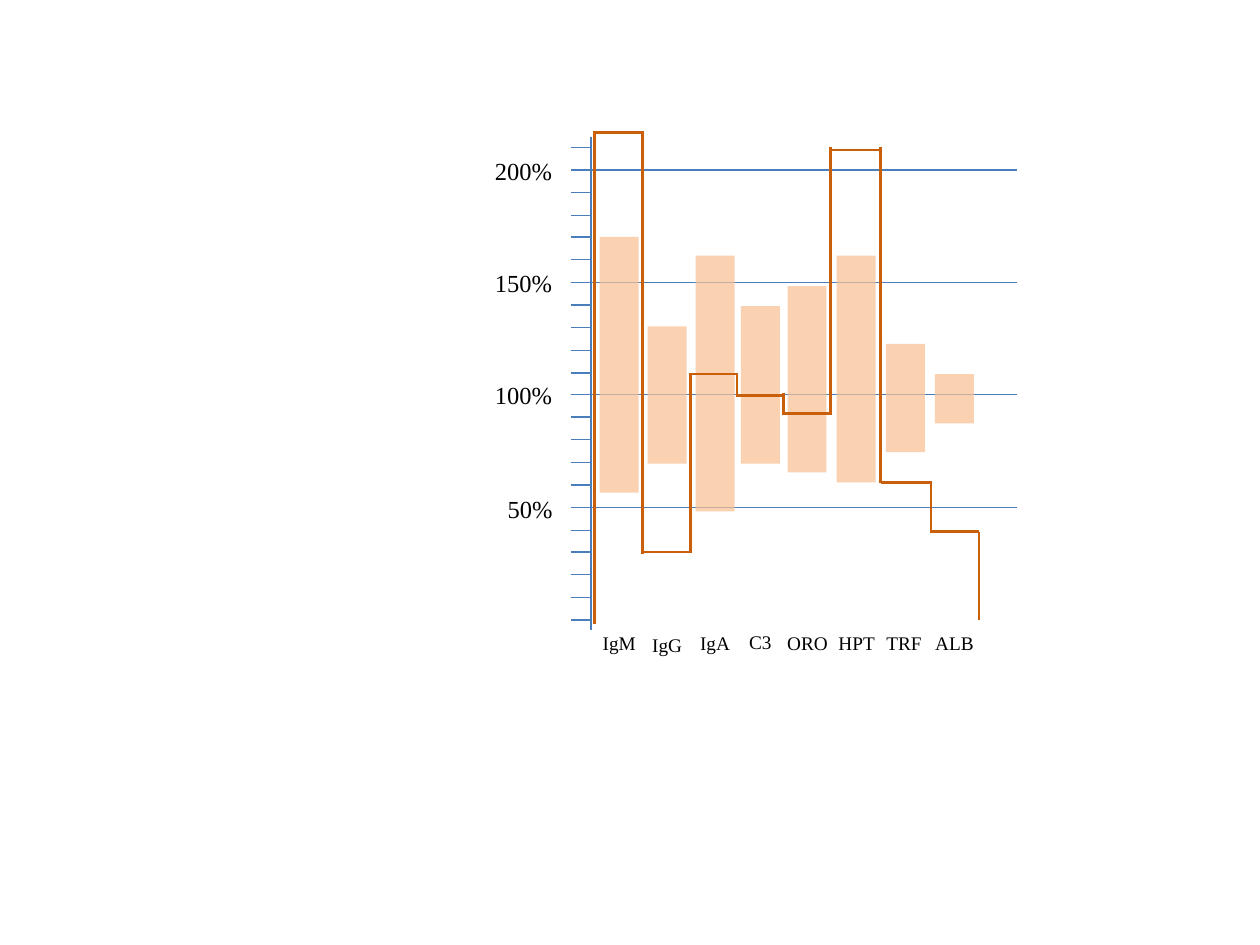
from collections import namedtuple

from pptx import Presentation
from pptx.dml.color import RGBColor
from pptx.enum.shapes import MSO_CONNECTOR as Connector, MSO_SHAPE as Shape
from pptx.enum.text import MSO_ANCHOR as Anchor, MSO_AUTO_SIZE as AutoSize, PP_ALIGN as Align
from pptx.oxml.ns import qn
from pptx.util import Emu, Pt
from lxml import etree

PX_PER_INCH = 100
EMU_PER_PX = 914400 // PX_PER_INCH
FONT = "Times New Roman"
BLACK, GRID_BLUE, RANGE_PEACH, LEVEL_ORANGE = "000000", "4A7EBB", "FAC090", "C96009"

AXIS_X, AXIS_TOP, AXIS_BOTTOM = 469, 109, 500
TICK_LEFT, GRID_RIGHT = 453, 807
ZERO_Y, HIGHEST_TICK_Y, TICK_STEPS = 492, 117, 21
TICKS_PER_GRID_LINE = 5
PERCENT_RIGHT, PERCENT_HEIGHT = 450, 34
RANGE_WIDTH, LEVEL_WIDTH, NAME_HEIGHT = 31, 39, 21

PERCENT_FORMAT = {
    "frame": {"word_wrap": False, "auto_size": AutoSize.SHAPE_TO_FIT_TEXT,
              "margin_left": Pt(7.2), "margin_right": Pt(7.2),
              "margin_top": Pt(3.6), "margin_bottom": Pt(3.6)},
    "paragraph": {"alignment": Align.LEFT},
    "font": {"name": FONT, "size": Pt(14)},
}
NAME_FORMAT = {
    "frame": {"word_wrap": False, "auto_size": AutoSize.SHAPE_TO_FIT_TEXT,
              "vertical_anchor": Anchor.MIDDLE,
              "margin_left": 0, "margin_right": 0,
              "margin_top": Pt(0.72), "margin_bottom": Pt(0.72)},
    "paragraph": {"alignment": Align.CENTER},
    "font": {"name": FONT, "size": Pt(11)},
}

Protein = namedtuple(
    "Protein", "name name_left name_top name_width range_left range_top range_height level_left level_y")
PROTEINS = [
    Protein("IgM", 478, 500, 27, 476, 188, 203, 472, 105),
    Protein("IgG", 517, 501, 25, 514, 259, 109, 510, 438),
    Protein("IgA", 555, 500, 25, 552, 203, 203, 547, 297),
    Protein("C3", 594, 499, 19, 588, 243, 125, 584, 314),
    Protein("ORO", 623, 500, 36, 625, 227, 148, 621, 328),
    Protein("HPT", 662, 500, 36, 664, 203, 180, 660, 119),
    Protein("TRF", 700, 500, 35, 703, 273, 86, 699, 383),
    Protein("ALB", 740, 500, 35, 742, 297, 39, 738, 422),
]
LEVEL_STEPS = [
    (472, 104, 495), (510, 105, 440), (548, 298, 438),
    (585, 296, 314), (622, 312, 329), (659, 328, 117),
    (699, 383, 117), (739, 421, 382), (777, 492, 422),
]


def px(length):
    return Emu(length * EMU_PER_PX)


def rgb(value):
    return RGBColor.from_string(value)


def apply(target, values):
    for name, value in values.items():
        setattr(target, name, value)


class SlideBuilder:
    def __init__(self, slide):
        self.slide = slide

    def line(self, x1, y1, x2, y2, color, weight):
        connector = self.slide.shapes.add_connector(
            Connector.STRAIGHT, px(x1), px(y1), px(x2), px(y2))
        connector.line.color.rgb = rgb(color)
        connector.line.width = Pt(weight)
        etree.SubElement(connector._element.spPr, qn("a:effectLst"))

    def grid_line(self, x1, y1, x2, y2):
        self.line(x1, y1, x2, y2, GRID_BLUE, 0.75)

    def level_line(self, x1, y1, x2, y2):
        self.line(x1, y1, x2, y2, LEVEL_ORANGE, 1.5)

    def range_bar(self, left, top, width, height, opacity=70):
        shape = self.slide.shapes.add_shape(
            Shape.RECTANGLE, px(left), px(top), px(width), px(height))
        shape.shadow.inherit = False
        shape.fill.solid()
        shape.fill.fore_color.rgb = rgb(RANGE_PEACH)
        shape.line.fill.background()
        color = shape._element.spPr.find(qn("a:solidFill"))[0]
        etree.SubElement(color, qn("a:alpha"), val=str(opacity * 1000))

    def text(self, text, left, top, width, height, style):
        box = self.slide.shapes.add_textbox(px(left), px(top), px(width), px(height))
        frame = box.text_frame
        apply(frame, style["frame"])
        paragraph = frame.paragraphs[0]
        apply(paragraph, style["paragraph"])
        run = paragraph.add_run()
        run.text = text
        apply(run.font, style["font"])
        run.font.color.rgb = rgb(BLACK)


def tick_y(index):
    return round(ZERO_Y - index * (ZERO_Y - HIGHEST_TICK_Y) / TICK_STEPS)


def main():
    presentation = Presentation()
    presentation.slide_width, presentation.slide_height = px(1000), px(750)
    builder = SlideBuilder(presentation.slides.add_slide(presentation.slide_layouts[6]))

    builder.grid_line(AXIS_X, AXIS_TOP, AXIS_X, AXIS_BOTTOM)
    for index in range(TICK_STEPS + 1):
        builder.grid_line(TICK_LEFT, tick_y(index), AXIS_X, tick_y(index))

    for percent in (50, 100, 150, 200):
        y = tick_y(percent // 50 * TICKS_PER_GRID_LINE)
        builder.grid_line(AXIS_X, y, GRID_RIGHT, y)
        width = 57 if percent < 100 else 67
        builder.text(f"{percent}%", PERCENT_RIGHT - width, y - 16, width,
                     PERCENT_HEIGHT, PERCENT_FORMAT)

    for protein in PROTEINS:
        builder.text(protein.name, protein.name_left, protein.name_top,
                     protein.name_width, NAME_HEIGHT, NAME_FORMAT)
        builder.range_bar(protein.range_left, protein.range_top,
                          RANGE_WIDTH, protein.range_height)
        builder.level_line(protein.level_left, protein.level_y,
                           protein.level_left + LEVEL_WIDTH, protein.level_y)

    for x, start_y, end_y in LEVEL_STEPS:
        builder.level_line(x, start_y, x, end_y)

    presentation.save("out.pptx")


if __name__ == "__main__":
    main()
